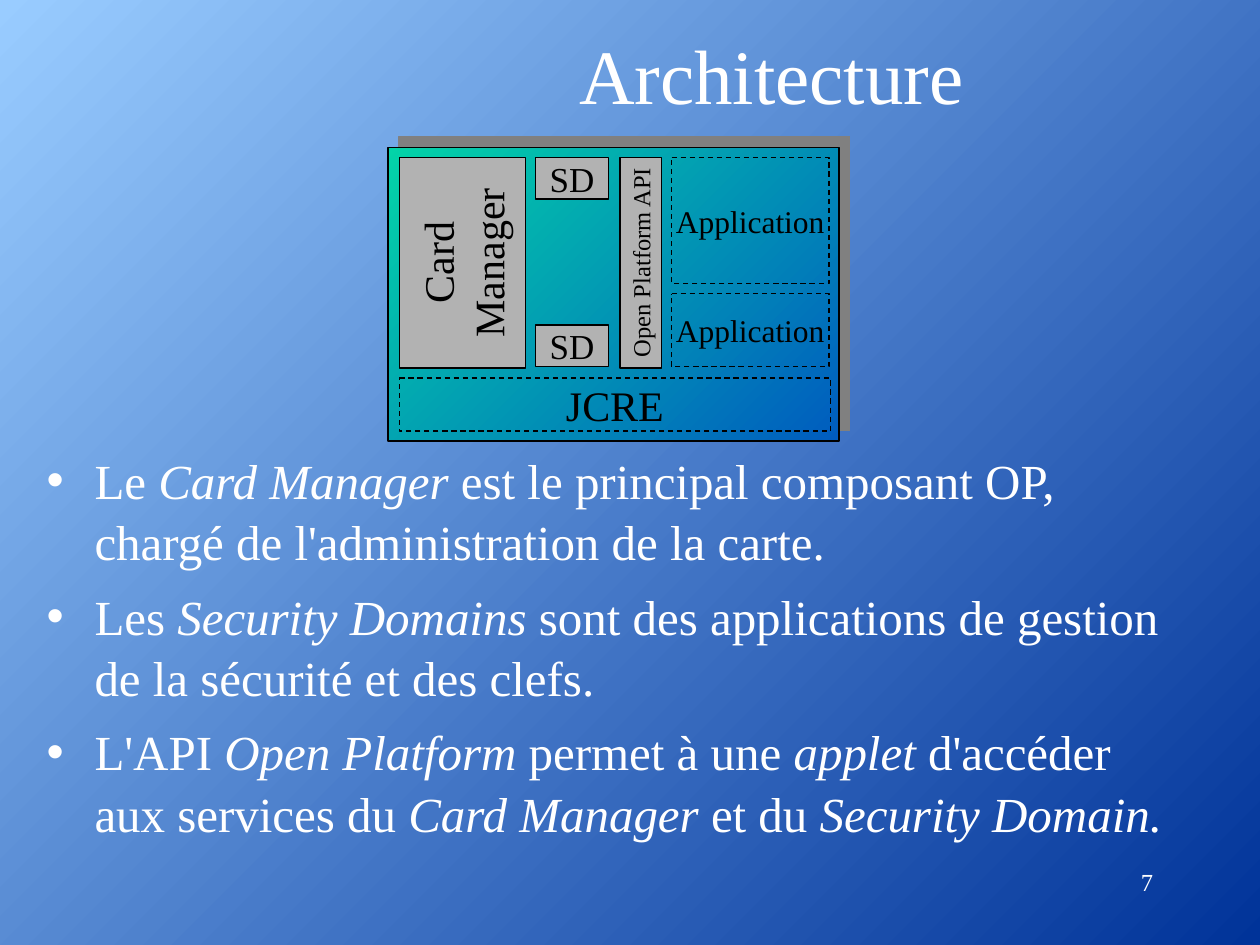
import pptx
import pptx.util
import pptx.dml.color
import pptx.enum.dml
import pptx.enum.shapes
import pptx.enum.text
from dataclasses import dataclass
from lxml import etree
from pptx.oxml.ns import qn

Inches, Pt = pptx.util.Inches, pptx.util.Pt
RGB = pptx.dml.color.RGBColor.from_string
ALIGN = pptx.enum.text.PP_ALIGN
ANCHOR = pptx.enum.text.MSO_ANCHOR
SHAPE = pptx.enum.shapes.MSO_SHAPE


@dataclass(frozen=True)
class Theme:
    font: str = "Times New Roman"
    light: str = "FFFFFF"
    dark: str = "000000"
    block: str = "B2B2B2"
    shadow: str = "808080"
    backdrop: tuple = ("99CCFF", "003399")
    card: tuple = ("03D4A8", "005CBF")
    title: int = 44
    body: int = 28
    large: int = 24
    medium: int = 20
    small: int = 18
    tiny: int = 14


THEME = Theme()

# Text between asterisks is italic
POINTS = [
    "Le *Card Manager* est le principal composant OP, "
    "chargé de l'administration de la carte.",
    "Les *Security Domains* sont des applications de gestion "
    "de la sécurité et des clefs.",
    "L'API *Open Platform* permet à une *applet* d'accéder "
    "aux services du *Card Manager *et du *Security Domain.*",
]

# Label, position and size, type size, filled, vertical
COMPONENTS = [
    ("JCRE", (3.17, 3, 3.42, 0.42), THEME.large, False, False),
    ("Card\nManager", (3.17, 1.25, 1, 1.67), THEME.large, True, True),
    ("SD", (4.25, 1.25, 0.58, 0.33), THEME.medium, True, False),
    ("SD", (4.25, 2.58, 0.58, 0.33), THEME.medium, True, False),
    ("Application", (5.33, 1.25, 1.25, 1), THEME.small, False, False),
    ("Application", (5.33, 2.33, 1.25, 0.58), THEME.small, False, False),
    ("Open Platform API", (4.92, 1.25, 0.33, 1.67), THEME.tiny, True, True),
]


def apply(target, values):
    for name, value in values.items():
        setattr(target, name, value)


def inches(box):
    return [Inches(length) for length in box]


def place(element, box):
    apply(element, dict(zip(("left", "top", "width", "height"), inches(box))))


def write(paragraph, text, size, color, align):
    paragraph.alignment = align
    for index, part in enumerate(text.split("*")):
        if part:
            run = paragraph.add_run()
            run.text = part
            apply(run.font, {"name": THEME.font, "size": Pt(size),
                             "italic": index % 2 == 1})
            run.font.color.rgb = RGB(color)


def fill_text(frame, lines, size, color, align, anchor=ANCHOR.TOP, wrap=True):
    apply(frame, {"word_wrap": wrap, "vertical_anchor": anchor,
                  "auto_size": pptx.enum.text.MSO_AUTO_SIZE.NONE})
    for index, line in enumerate(lines):
        paragraph = frame.add_paragraph() if index else frame.paragraphs[0]
        write(paragraph, line, size, color, align)


def diagonal_gradient(fill, colors):
    fill.gradient()
    fill.gradient_angle = 315
    for stop, color in zip(fill.gradient_stops, colors):
        stop.color.rgb = RGB(color)


def add_bullet(paragraph):
    properties = paragraph._p.get_or_add_pPr()
    properties.set("marL", str(Inches(0.38)))
    properties.set("indent", str(-Inches(0.38)))
    bullet_color = etree.SubElement(properties, qn("a:buClr"))
    etree.SubElement(bullet_color, qn("a:srgbClr"), val=THEME.light)
    etree.SubElement(properties, qn("a:buChar"), char="•")


def add_box(diagram, kind, box):
    outlined = diagram.shapes.add_shape(kind, *inches(box))
    outlined.shadow.inherit = False
    outlined.line.color.rgb = RGB(THEME.dark)
    outlined.line.width = Pt(0.75)
    return outlined


def add_card(diagram):
    card = add_box(diagram, SHAPE.RECTANGLE, (3.08, 1.17, 3.58, 2.33))
    diagonal_gradient(card.fill, THEME.card)
    effects = card._element.spPr.find(qn("a:effectLst"))
    shadow = etree.SubElement(effects, qn("a:outerShdw"), dist=str(Pt(8.5)),
                              dir=str(315 * 60000), rotWithShape="0")
    etree.SubElement(shadow, qn("a:srgbClr"), val=THEME.shadow)


def add_component(diagram, label, box, size, filled, vertical):
    component = add_box(diagram, SHAPE.FLOWCHART_PROCESS, box)
    if filled:
        component.fill.solid()
        component.fill.fore_color.rgb = RGB(THEME.block)
    else:
        component.fill.background()
        component.line.dash_style = pptx.enum.dml.MSO_LINE.DASH
    frame = component.text_frame
    fill_text(frame, label.split("\n"), size, THEME.dark, ALIGN.CENTER,
              ANCHOR.MIDDLE, wrap=False)
    if vertical:
        frame._txBody.bodyPr.set("vert", "vert270")
        apply(frame, {"margin_left": Inches(0.05), "margin_right": Inches(0.05),
                      "margin_top": Inches(0.1), "margin_bottom": Inches(0.1)})


def add_points(body):
    place(body, (0.27, 3.5, 9.17, 3.17))
    fill_text(body.text_frame, POINTS, THEME.body, THEME.light, ALIGN.LEFT)
    for paragraph in body.text_frame.paragraphs:
        apply(paragraph, {"space_before": Pt(7), "line_spacing": 1.05})
        add_bullet(paragraph)


def main():
    deck = pptx.Presentation()
    apply(deck, {"slide_width": Inches(10), "slide_height": Inches(7.5)})
    slide = deck.slides.add_slide(deck.slide_layouts[1])
    diagonal_gradient(slide.background.fill, THEME.backdrop)

    # Title and explanations
    title, body = slide.placeholders
    place(title, (3, 0.25, 6.25, 0.67))
    fill_text(title.text_frame, ["Architecture"], THEME.title, THEME.light,
              ALIGN.CENTER, ANCHOR.MIDDLE)
    add_points(body)

    # Card diagram
    diagram = slide.shapes.add_group_shape()
    add_card(diagram)
    for component in COMPONENTS:
        add_component(diagram, *component)

    # Page number
    page_number = slide.shapes.add_textbox(*inches((7.17, 6.83, 2.08, 0.5)))
    fill_text(page_number.text_frame, ["7"], THEME.tiny, THEME.light, ALIGN.RIGHT)

    deck.save("out.pptx")


if __name__ == "__main__":
    main()
